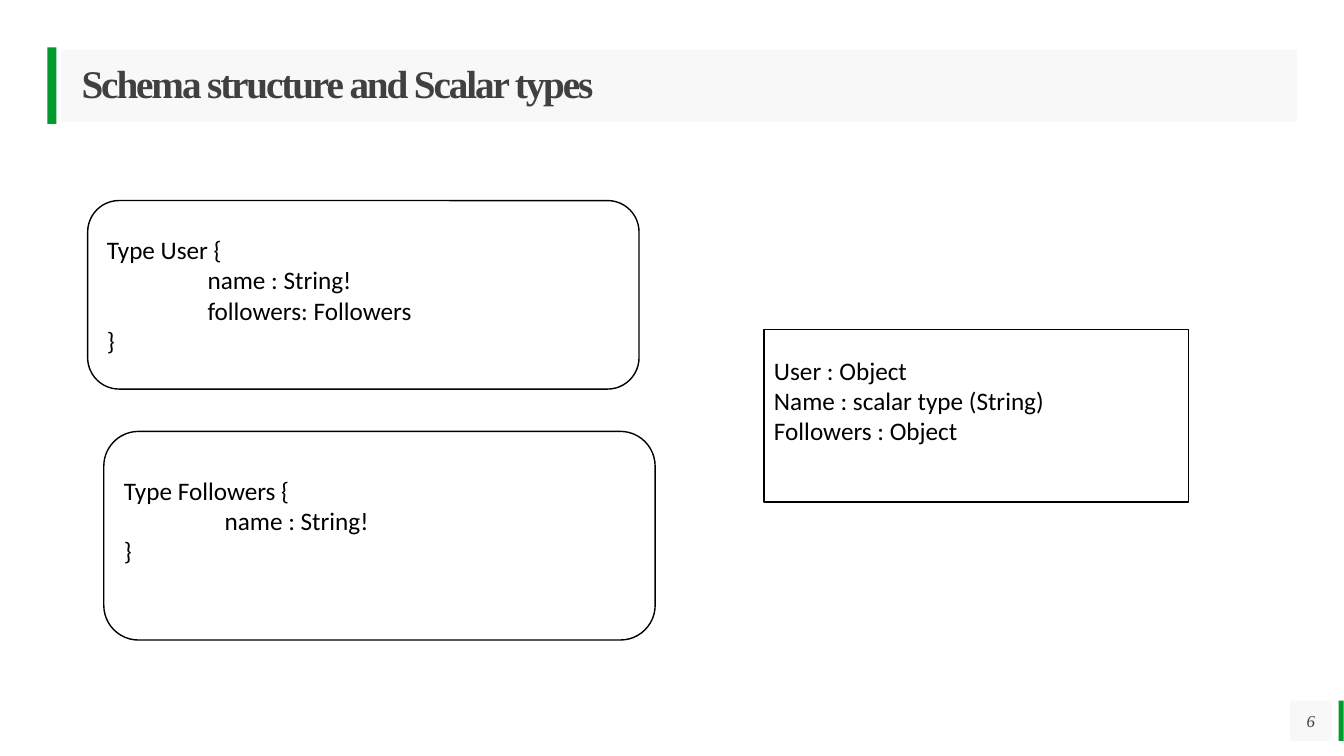
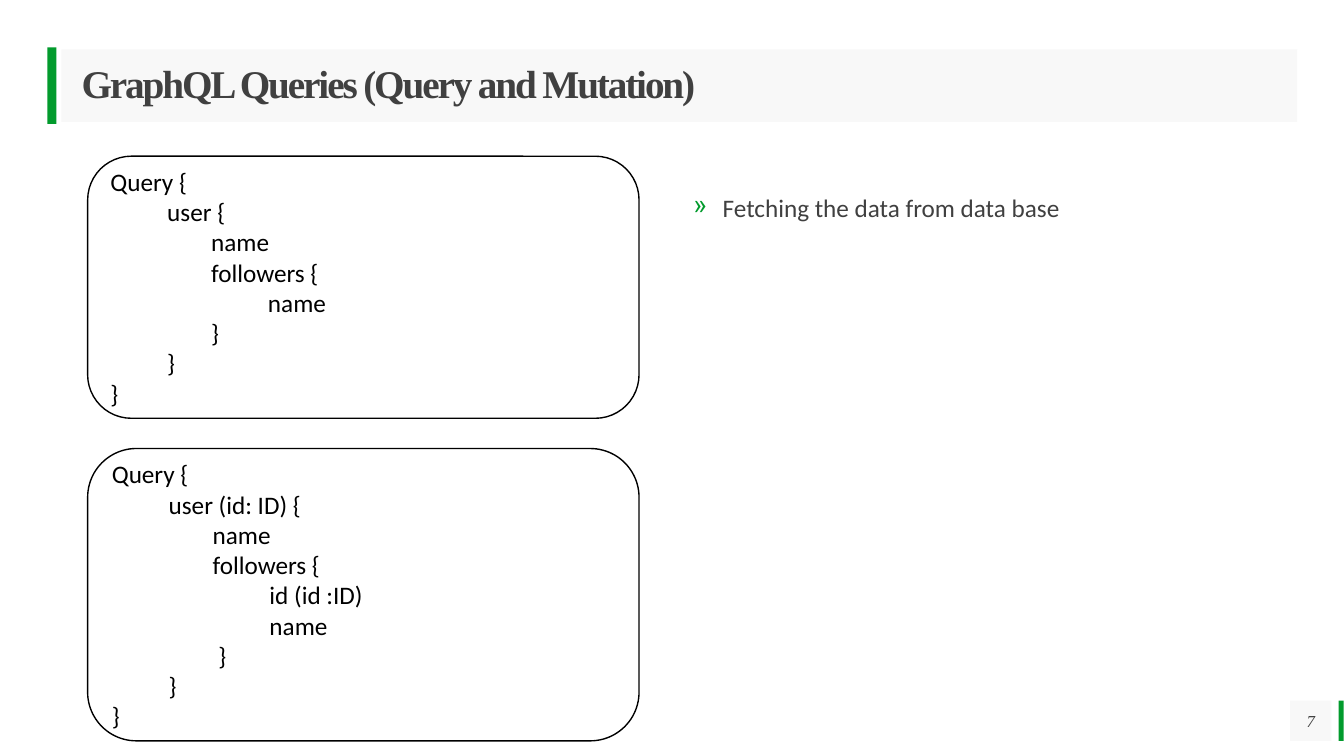
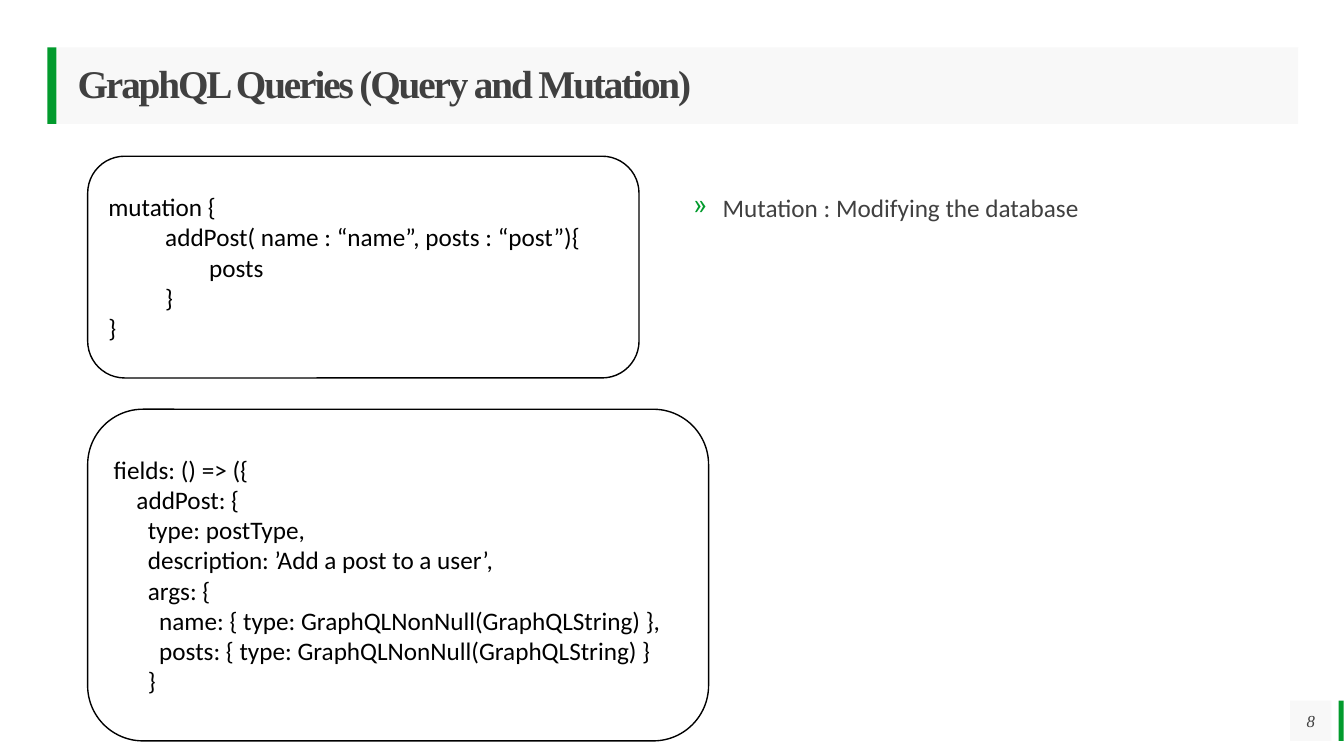
import pptx
import pptx.dml.color
import pptx.enum.shapes
import pptx.enum.text
import pptx.oxml.ns
import pptx.util
import lxml.etree

Inches = pptx.util.Inches
Pt = pptx.util.Pt
RGBColor = pptx.dml.color.RGBColor
SHAPE = pptx.enum.shapes.MSO_SHAPE
ALIGN = pptx.enum.text.PP_ALIGN
ANCHOR = pptx.enum.text.MSO_ANCHOR
qn = pptx.oxml.ns.qn

GREEN = RGBColor(0x02, 0x9B, 0x2D)
PALE = RGBColor(0xF2, 0xF2, 0xF2)
GREY = RGBColor(0x40, 0x40, 0x40)
BLACK = RGBColor(0, 0, 0)
WHITE = RGBColor(0xFF, 0xFF, 0xFF)
SERIF = "Times New Roman"
SANS = "Calibri"
LINE_HEIGHT = 0.3

BAND = (0.61, 0.49, 12.26, 0.72)
WIDE_BAND = (0.57, 0.47, 12.31, 0.76)

SLIDES = [
    {
        "title": "Schema structure and Scalar types",
        "band": BAND,
        "boxes": [
            (SHAPE.ROUNDED_RECTANGLE, (0.87, 1.99, 5.47, 1.87), 0, """\
Type User {
\tname : String!
\tfollowers: Followers
}"""),
            (SHAPE.ROUNDED_RECTANGLE, (1.03, 4.28, 5.47, 2.07), 1, """\
Type Followers {
\tname : String!
}"""),
            (SHAPE.RECTANGLE, (7.58, 3.27, 4.21, 1.71), 1, """\
User : Object
Name : scalar type (String)
Followers : Object"""),
        ],
    },
    {
        "title": "GraphQL Queries (Query and Mutation)",
        "band": BAND,
        "bullet": "Fetching the data from data base",
        "boxes": [
            (SHAPE.ROUNDED_RECTANGLE, (0.87, 1.55, 5.47, 2.6), 0, """\
Query {
          user {
\tname
\tfollowers {
\t          name
\t}
          }
}"""),
            (SHAPE.ROUNDED_RECTANGLE, (0.87, 4.45, 5.47, 2.9), 0, """\
Query {
          user (id: ID) {
\tname
\tfollowers {
\t          id (id :ID)
\t          name
\t }
          }
}"""),
        ],
    },
    {
        "title": "GraphQL Queries (Query and Mutation)",
        "band": WIDE_BAND,
        "bullet": "Mutation : Modifying the database",
        "boxes": [
            (SHAPE.ROUNDED_RECTANGLE, (0.87, 1.55, 5.47, 2.2), 0, """\
mutation {
          addPost( name : “name”, posts : “post”){
\tposts
          }
}"""),
            (SHAPE.ROUNDED_RECTANGLE, (0.87, 4.06, 6.16, 3.29), 0, """\
fields: () => ({
    addPost: {
      type: postType,
      description: ’Add a post to a user’,
      args: {
        name: { type: GraphQLNonNull(GraphQLString) },
        posts: { type: GraphQLNonNull(GraphQLString) }
      }"""),
        ],
    },
]


def add_panel(slide, kind, place, fill, line=None, alpha=None):
    shape = slide.shapes.add_shape(kind, *map(Inches, place))
    shape.shadow.inherit = False
    shape.fill.solid()
    shape.fill.fore_color.rgb = fill
    if alpha:
        color = shape.fill._xPr.find(qn("a:solidFill")).find(qn("a:srgbClr"))
        lxml.etree.SubElement(color, qn("a:alpha")).set("val", str(alpha * 1000))
    if line is None:
        shape.line.fill.background()
    else:
        shape.line.color.rgb = line
        shape.line.width = Pt(1)
    return shape


def write(shape, text, size, font, color, align=ALIGN.LEFT, margins=(0, 0, 0, 0), bullet=None):
    frame = shape.text_frame
    frame.word_wrap = True
    frame.vertical_anchor = ANCHOR.TOP if bullet else ANCHOR.MIDDLE
    frame.margin_left, frame.margin_top, frame.margin_right, frame.margin_bottom = map(Inches, margins)
    frame.text = text
    for paragraph in frame.paragraphs:
        paragraph.alignment = align
        properties = paragraph._p.get_or_add_pPr()
        if bullet:
            properties.set("marL", str(Inches(0.29)))
            properties.set("indent", str(-Inches(0.29)))
            bullet_color = lxml.etree.SubElement(properties, qn("a:buClr"))
            lxml.etree.SubElement(bullet_color, qn("a:srgbClr")).set("val", str(GREEN))
            lxml.etree.SubElement(properties, qn("a:buChar")).set("char", bullet)
        if "\t" in paragraph.text:
            tab_list = lxml.etree.SubElement(properties, qn("a:tabLst"))
            tab = lxml.etree.SubElement(tab_list, qn("a:tab"))
            tab.set("pos", str(Inches(1)))
            tab.set("algn", "l")
        paragraph.font.size = Pt(size)
        paragraph.font.name = font
        paragraph.font.color.rgb = color
    return frame.paragraphs[0]


presentation = pptx.Presentation()
presentation.slide_width = Inches(40 / 3)
presentation.slide_height = Inches(7.5)

for number, content in enumerate(SLIDES, start=6):
    slide = presentation.slides.add_slide(presentation.slide_layouts[6])

    add_panel(slide, SHAPE.RECTANGLE, (13.28, 6.95, 0.05, 0.4), GREEN)
    add_panel(slide, SHAPE.RECTANGLE, (0.47, 0.47, 0.09, 0.76), GREEN)

    page_box = add_panel(slide, SHAPE.RECTANGLE, (12.8, 6.95, 0.41, 0.4), PALE, alpha=50)
    paragraph = write(page_box, str(number), 12, SERIF, GREY, ALIGN.CENTER)
    paragraph.font.italic = True

    title_band = add_panel(slide, SHAPE.RECTANGLE, content["band"], PALE, alpha=50)
    paragraph = write(title_band, content["title"], 28, SERIF, GREY, margins=(0.2, 0, 0, 0))
    paragraph.font.bold = True
    paragraph.line_spacing = 0.9
    paragraph.runs[0]._r.get_or_add_rPr().set("spc", "-150")

    for kind, place, lines_below, text in content["boxes"]:
        box = add_panel(slide, kind, place, WHITE, BLACK)
        bottom = 0.05 + lines_below * LINE_HEIGHT
        write(box, text, 18, SANS, BLACK, margins=(0.1, 0.05, 0.1, bottom))

    if "bullet" in content:
        bullet_box = slide.shapes.add_textbox(*map(Inches, (6.88, 1.94, 6, 0.49)))
        paragraph = write(bullet_box, content["bullet"], 18, SANS, GREY, bullet="»")
        paragraph.line_spacing = 0.9

presentation.save("out.pptx")
